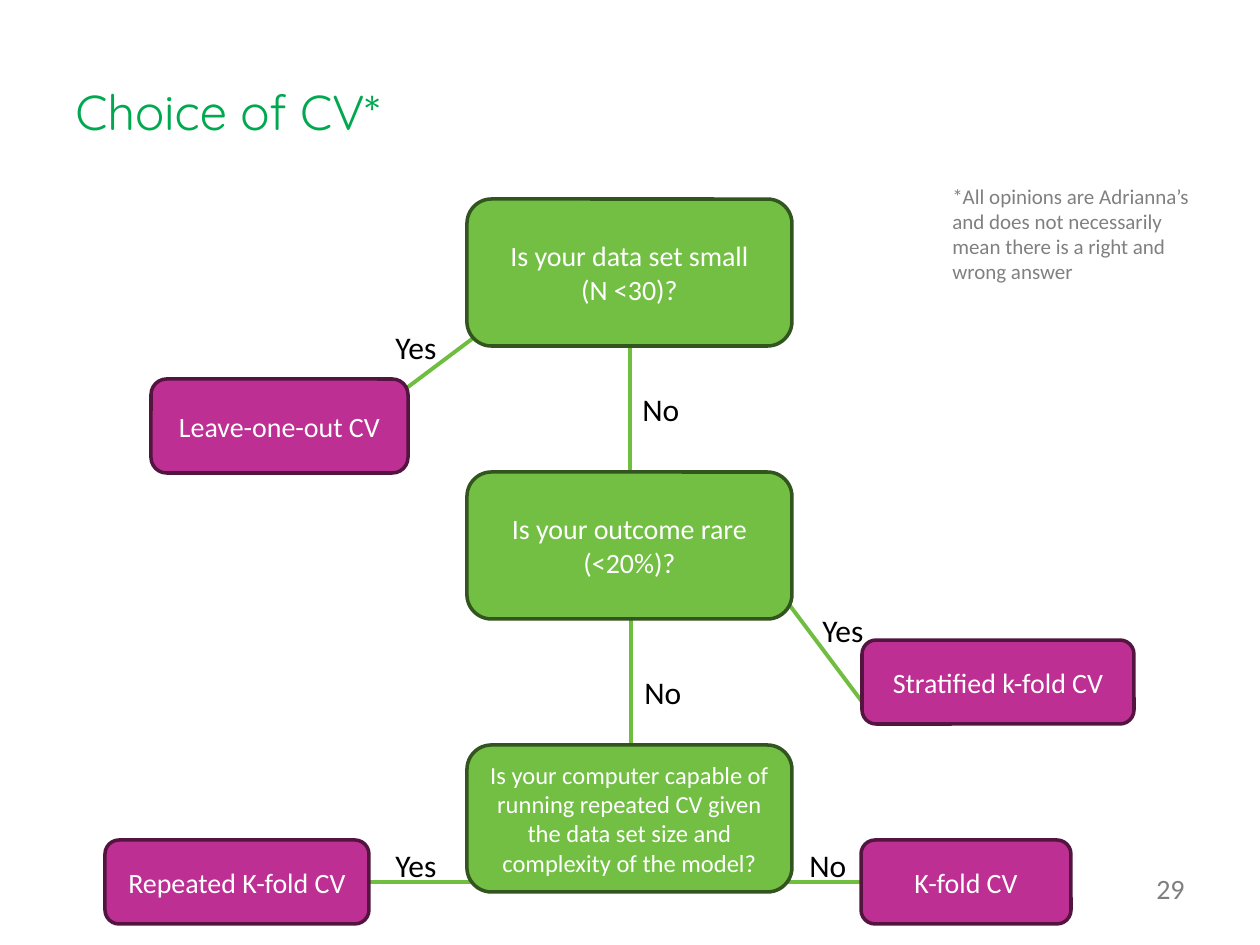
from lxml.etree import SubElement
from pptx import Presentation
from pptx.dml.color import RGBColor
from pptx.enum.shapes import MSO_CONNECTOR as CONNECTOR, MSO_SHAPE as SHAPE
from pptx.enum.text import MSO_ANCHOR as ANCHOR, PP_ALIGN as ALIGN
from pptx.oxml.ns import qn
from pptx.util import Pt

PX = 914400 / 126
GREEN = RGBColor(0x72, 0xBF, 0x44)
DARK_GREEN = RGBColor(0x32, 0x54, 0x1E)
LINK_GREEN = RGBColor(0x6F, 0xBE, 0x3F)
TITLE_GREEN = RGBColor(0x00, 0xA9, 0x4F)
MAGENTA = RGBColor(0xBD, 0x2F, 0x92)
DARK_MAGENTA = RGBColor(0x53, 0x15, 0x40)
WHITE = RGBColor(0xFF, 0xFF, 0xFF)
BLACK = RGBColor(0x00, 0x00, 0x00)
NOTE_GRAY = RGBColor(0x80, 0x80, 0x80)
NUMBER_GRAY = RGBColor(0x7F, 0x7F, 0x7F)


def px(*lengths):
    return [round(length * PX) for length in lengths]


def write(shape, lines, size, color, align=ALIGN.LEFT, anchor=ANCHOR.TOP, font="Calibri"):
    frame = shape.text_frame
    frame.word_wrap = True
    frame.vertical_anchor = anchor
    for index, line in enumerate(lines):
        paragraph = frame.add_paragraph() if index else frame.paragraphs[0]
        paragraph.alignment = align
        run = paragraph.add_run()
        run.text = line
        run.font.name = font
        run.font.size = Pt(size)
        run.font.color.rgb = color


presentation = Presentation()
presentation.slide_width, presentation.slide_height = px(1260, 945)
slide = presentation.slides.add_slide(presentation.slide_layouts[6])
shapes = slide.shapes

links = [
    (354, 882, 476, 882),
    (772, 882, 893, 882),
    (785, 599, 863, 703),
    (476, 336, 392, 399),
    (630, 347, 630, 473),
    (631, 620, 631, 746),
]
for ends in links:
    connector = shapes.add_connector(CONNECTOR.STRAIGHT, *px(*ends))
    connector.line.color.rgb = LINK_GREEN
    connector.line.width = Pt(2.25)
    SubElement(connector._element.spPr, qn("a:effectLst"))

title = shapes.add_textbox(*px(63, 38, 1134, 109))
write(title, ["Choice of CV*"], 28, TITLE_GREEN, anchor=ANCHOR.BOTTOM, font="Quicksand")

questions = [
    (["Is your data set small", "(N <30)?"], 16),
    (["Is your outcome rare (<20%)?"], 16),
    (["Is your computer capable of running repeated CV given the data set size "
      "and complexity of the model?"], 14),
]
methods = [
    ("Leave-one-out CV", 151, 379, 257, 94),
    ("Stratified k-fold CV", 862, 640, 272, 84),
    ("Repeated K-fold CV", 105, 840, 264, 84),
    ("K-fold CV", 861, 840, 210, 84),
]
boxes = [
    (lines, size, (467, 199 + 273 * row, 325, 147), GREEN, DARK_GREEN)
    for row, (lines, size) in enumerate(questions)
] + [([name], 16, place, MAGENTA, DARK_MAGENTA) for name, *place in methods]
for lines, size, place, fill, outline in boxes:
    box = shapes.add_shape(SHAPE.ROUNDED_RECTANGLE, *px(*place))
    box.shadow.inherit = False
    box.fill.solid()
    box.fill.fore_color.rgb = fill
    box.line.color.rgb = outline
    box.line.width = Pt(2)
    write(box, lines, size, WHITE, ALIGN.CENTER, ANCHOR.MIDDLE)

answers = [
    ("Yes", 383, 322),
    ("Yes", 383, 840),
    ("Yes", 810, 605),
    ("No", 630, 384),
    ("No", 632, 667),
    ("No", 797, 840),
]
for answer, left, top in answers:
    write(shapes.add_textbox(*px(left, top, 84, 51)), [answer], 18, BLACK)

note = shapes.add_textbox(*px(940, 177, 262, 115))
write(note, ["*All opinions are Adrianna’s and does not necessarily mean there is a right "
             "and wrong answer"], 12, NOTE_GRAY)
page_number = shapes.add_textbox(*px(1092, 863, 105, 50))
write(page_number, ["29"], 16, NUMBER_GRAY, ALIGN.RIGHT, ANCHOR.MIDDLE)

presentation.save("out.pptx")
